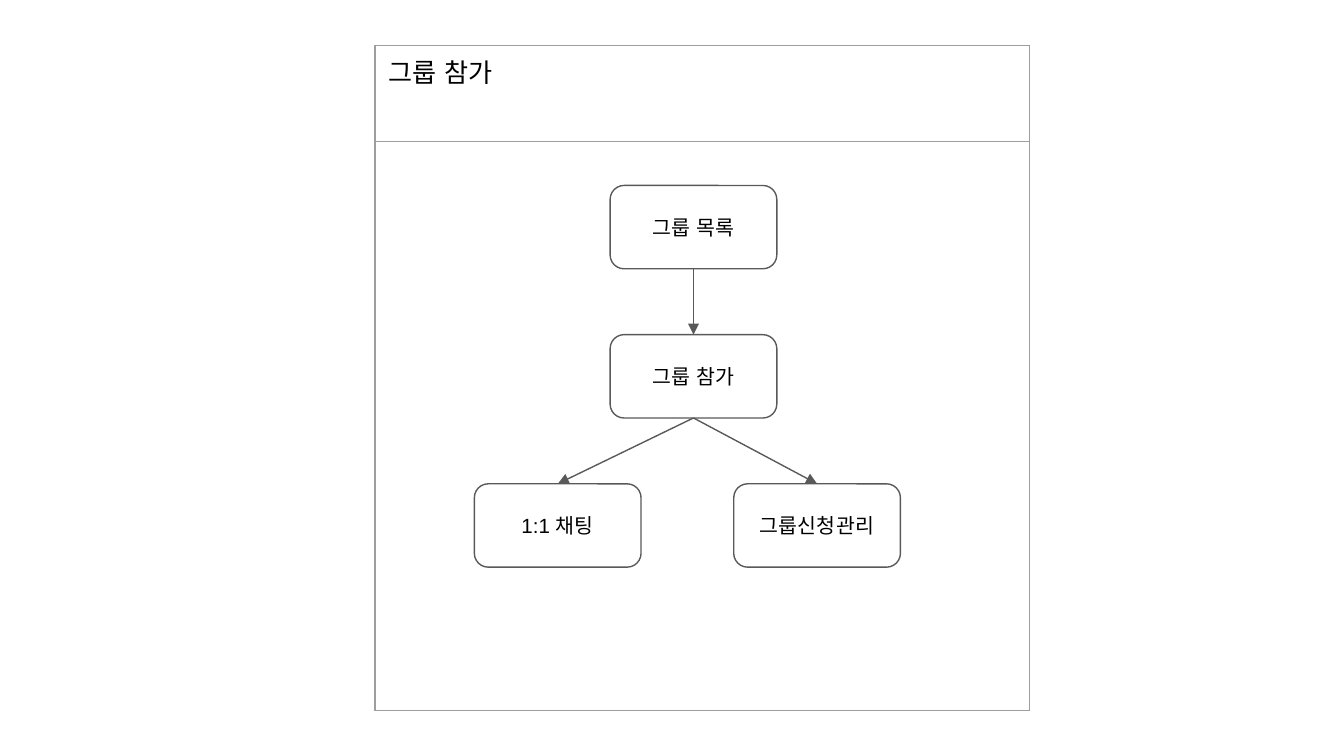
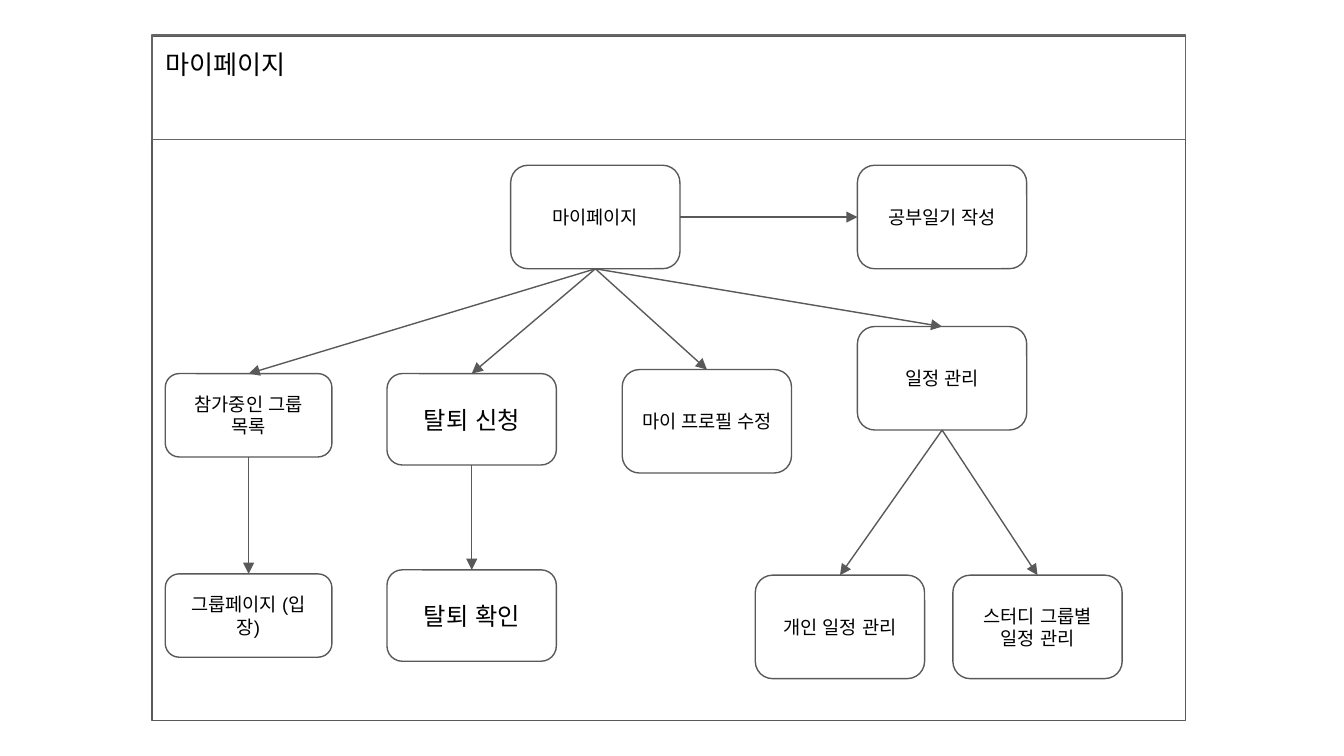
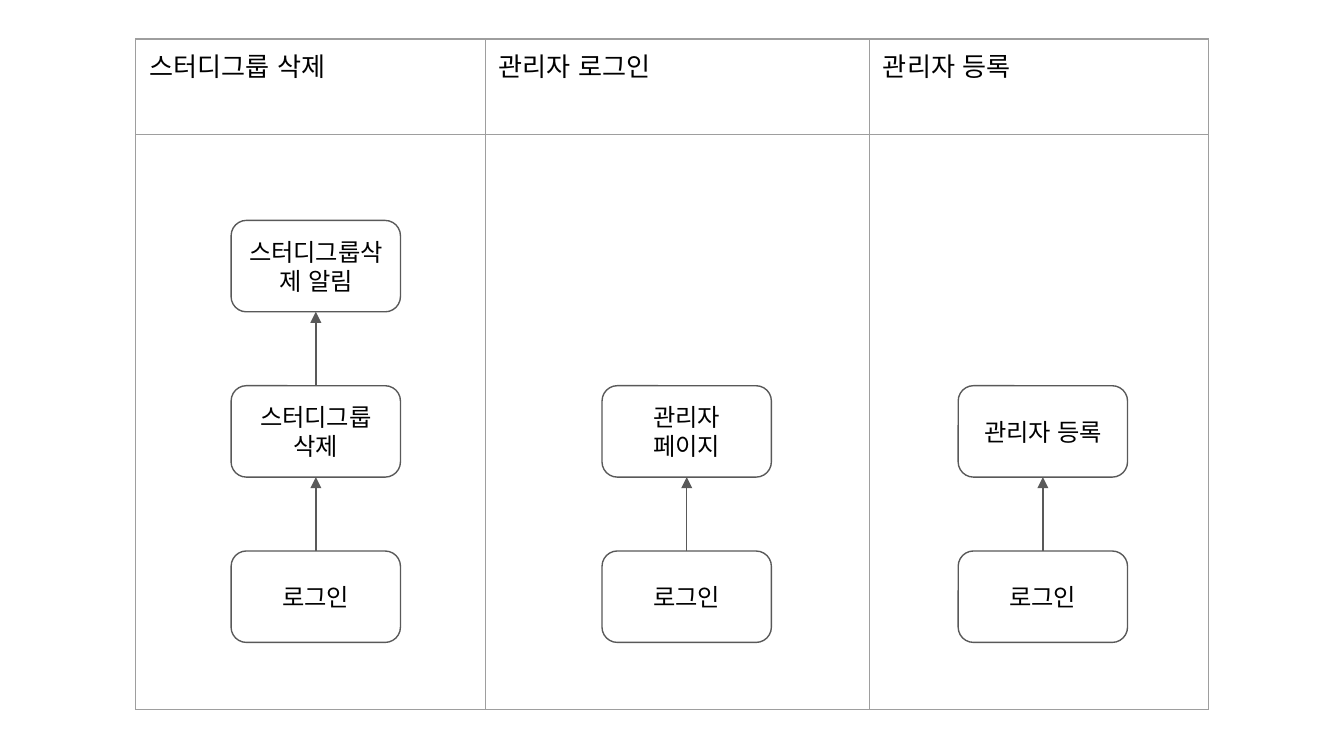
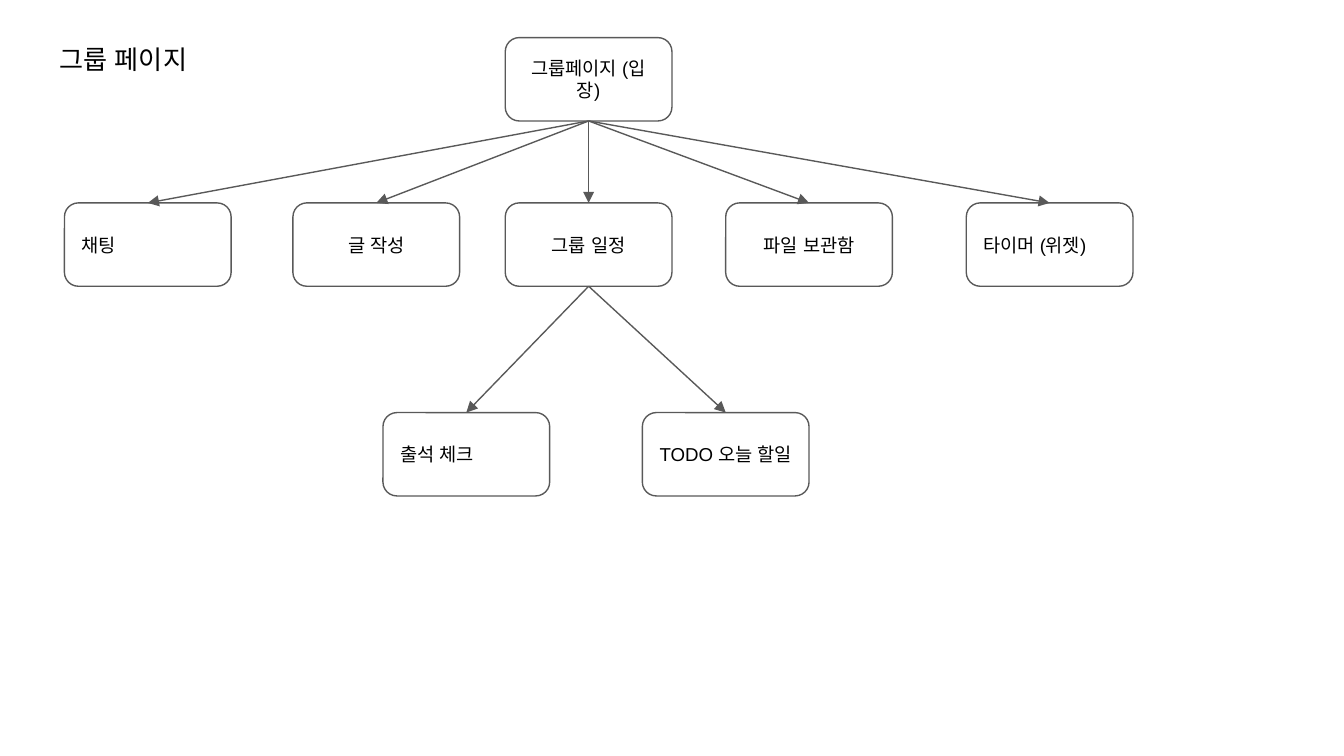
"""Build four screen-flow slides for a study group service."""
from dataclasses import dataclass

from lxml import etree
from pptx import Presentation
from pptx import presentation as pr
from pptx import slide as sl
from pptx import util as u
from pptx.dml import color as c
from pptx.enum import shapes, text
from pptx.oxml import ns
from pptx.shapes import autoshape as auto
from pptx.text import text as tx

PX = 9144
FONT = "Arial"
BLACK, WHITE = "000000", "FFFFFF"
STROKE, HEADER_STROKE, GRID = "595959", "666666", "9E9E9E"
LINE_WIDTH = u.Pt(0.75)
INSET = 10
TITLE_SIZE = 14
TITLE_ONLY, BLANK = 5, 6
TOP, LEFT, BOTTOM, RIGHT = range(4)
ALIGN_LEFT, ALIGN_CENTER = text.PP_ALIGN.LEFT, text.PP_ALIGN.CENTER


@dataclass(frozen=True)
class BoxStyle:
    width: int
    height: int
    size: int


@dataclass(frozen=True)
class Box:
    label: str
    left: int
    top: int
    style: BoxStyle
    align: text.PP_ALIGN = ALIGN_CENTER


@dataclass(frozen=True)
class Lane:
    title: str
    width: int
    box_left: int
    steps: tuple[str, ...]


JOIN = BoxStyle(124, 62, 11)
SMALL = BoxStyle(124, 62, 10)
MEDIUM = BoxStyle(126, 68, 13)
TALL = BoxStyle(126, 77, 10)


def px(length: int) -> u.Emu:
    return u.Emu(length * PX)


def rgb(value: str) -> c.RGBColor:
    return c.RGBColor.from_string(value)


def set_text(frame: tx.TextFrame, words: str, size: int,
             align: text.PP_ALIGN = ALIGN_LEFT,
             anchor: text.MSO_ANCHOR = text.MSO_ANCHOR.TOP) -> None:
    frame.text = words
    frame.word_wrap = True
    frame.vertical_anchor = anchor
    frame.margin_left = frame.margin_right = px(INSET)
    frame.margin_top = frame.margin_bottom = px(INSET)
    format_text(frame, size, align)


def format_text(frame: tx.TextFrame, size: int, align: text.PP_ALIGN) -> None:
    for para in frame.paragraphs:
        para.alignment = align
        for span in para.runs:
            span.font.name = FONT
            span.font.size = u.Pt(size)
            span.font.color.rgb = rgb(BLACK)
            etree.SubElement(span.font._element, ns.qn("a:ea"), typeface=FONT)


def add_outline(page: sl.Slide, kind: shapes.MSO_SHAPE, left: int, top: int,
                width: int, height: int, stroke: str) -> auto.Shape:
    shape = page.shapes.add_shape(kind, px(left), px(top), px(width), px(height))
    shape.shadow.inherit = False
    shape.fill.background()
    shape.line.color.rgb = rgb(stroke)
    shape.line.width = LINE_WIDTH
    return shape


def add_box(page: sl.Slide, box: Box) -> auto.Shape:
    style = box.style
    shape = add_outline(page, shapes.MSO_SHAPE.ROUNDED_RECTANGLE, box.left, box.top,
                        style.width, style.height, STROKE)
    shape.fill.solid()
    shape.fill.fore_color.rgb = rgb(WHITE)
    set_text(shape.text_frame, box.label, style.size, box.align, text.MSO_ANCHOR.MIDDLE)
    return shape


def add_arrow(page: sl.Slide, start: auto.Shape, end: auto.Shape,
              start_side: int = BOTTOM, end_side: int = TOP) -> None:
    arrow = page.shapes.add_connector(shapes.MSO_CONNECTOR.STRAIGHT, 0, 0, 0, 0)
    arrow.begin_connect(start, start_side)
    arrow.end_connect(end, end_side)
    arrow.line.color.rgb = rgb(STROKE)
    arrow.line.width = LINE_WIDTH
    properties = arrow._element.spPr
    etree.SubElement(properties.find(ns.qn("a:ln")), ns.qn("a:tailEnd"), type="triangle")
    etree.SubElement(properties, ns.qn("a:effectLst"))


def add_branches(page: sl.Slide, parent: auto.Shape, boxes: list[Box]) -> list[auto.Shape]:
    children = [add_box(page, box) for box in boxes]
    for child in children:
        add_arrow(page, parent, child)
    return children


def add_lanes(page: sl.Slide, left: int, top: int, titles: list[str],
              widths: list[int], heights: list[int]) -> None:
    frame = page.shapes.add_table(len(heights), len(widths), px(left), px(top),
                                  px(sum(widths)), px(sum(heights)))
    table = frame.table
    table.first_row = table.horz_banding = False
    for row, height in zip(table.rows, heights):
        row.height = px(height)
    for index, (title, width) in enumerate(zip(titles, widths)):
        table.columns[index].width = px(width)
        header = table.cell(0, index)
        header.text = title
        header.margin_left = header.margin_right = px(INSET)
        header.margin_top = header.margin_bottom = px(INSET)
        format_text(header.text_frame, TITLE_SIZE, ALIGN_LEFT)
        header.text_frame.paragraphs[0].space_before = u.Pt(4)
        table.cell(1, index).merge(table.cell(len(heights) - 1, index))
    for cell in table.iter_cells():
        properties = cell._tc.get_or_add_tcPr()
        for edge in ("a:lnL", "a:lnR", "a:lnT", "a:lnB"):
            line = etree.SubElement(properties, ns.qn(edge), w=str(LINE_WIDTH))
            fill = etree.SubElement(line, ns.qn("a:solidFill"))
            etree.SubElement(fill, ns.qn("a:srgbClr"), val=GRID)
        cell.fill.background()


def add_page(deck: pr.Presentation, layout: int = BLANK) -> sl.Slide:
    return deck.slides.add_slide(deck.slide_layouts[layout])


def build_group_join(deck: pr.Presentation) -> None:
    page = add_page(deck)
    add_lanes(page, 279, 34, ["그룹 참가"], [487], [71, 212, 212])
    group_list = add_box(page, Box("그룹 목록", 454, 138, JOIN))
    [group_join] = add_branches(page, group_list, [Box("그룹 참가", 454, 249, JOIN)])
    add_branches(page, group_join, [
        Box("1:1 채팅", 353, 360, JOIN),
        Box("그룹신청관리", 546, 360, JOIN),
    ])


def build_my_page(deck: pr.Presentation) -> None:
    page = add_page(deck)
    add_outline(page, shapes.MSO_SHAPE.RECTANGLE, 113, 27, 769, 509, STROKE)
    header = add_outline(page, shapes.MSO_SHAPE.RECTANGLE, 113, 26, 769, 78, HEADER_STROKE)
    set_text(header.text_frame, "마이페이지", TITLE_SIZE)
    my_page = add_box(page, Box("마이페이지", 380, 123, TALL))
    diary = add_box(page, Box("공부일기 작성", 638, 123, TALL))
    add_arrow(page, my_page, diary, RIGHT, LEFT)
    joined, leave, _, schedule = add_branches(page, my_page, [
        Box("참가중인 그룹 목록", 123, 278, SMALL),
        Box("탈퇴 신청", 288, 278, MEDIUM),
        Box("마이 프로필 수정", 463, 275, TALL),
        Box("일정 관리", 638, 243, TALL),
    ])
    add_branches(page, joined, [Box("그룹페이지 (입장)", 123, 427, SMALL)])
    add_branches(page, leave, [Box("탈퇴 확인", 288, 424, MEDIUM)])
    add_branches(page, schedule, [
        Box("개인 일정 관리", 562, 428, TALL),
        Box("스터디 그룹별 일정 관리", 709, 428, TALL),
    ])


def build_admin(deck: pr.Presentation) -> None:
    page = add_page(deck)
    lanes = [
        Lane("스터디그룹 삭제", 260, 172, ("로그인", "스터디그룹 삭제", "스터디그룹삭제 알림")),
        Lane("관리자 로그인", 286, 448, ("로그인", "관리자 페이지")),
        Lane("관리자 등록", 252, 713, ("로그인", "관리자 등록")),
    ]
    add_lanes(page, 101, 29, [lane.title for lane in lanes],
              [lane.width for lane in lanes], [71, 214, 214])
    first_top, step_rise = 410, 123
    for lane in lanes:
        steps = [add_box(page, Box(label, lane.box_left, first_top - step_rise * level, MEDIUM))
                 for level, label in enumerate(lane.steps)]
        for lower, upper in zip(steps, steps[1:]):
            add_arrow(page, lower, upper, TOP, BOTTOM)


def build_group_page(deck: pr.Presentation) -> None:
    page = add_page(deck, TITLE_ONLY)
    title = page.shapes.title
    title.left, title.top, title.width, title.height = map(px, (34, 22, 171, 44))
    set_text(title.text_frame, "그룹 페이지", TITLE_SIZE)
    title.text_frame.auto_size = text.MSO_AUTO_SIZE.SHAPE_TO_FIT_TEXT
    entrance = add_box(page, Box("그룹페이지 (입장)", 376, 28, SMALL))
    menu_top, task_top = 151, 307
    menu = add_branches(page, entrance, [
        Box("채팅", 48, menu_top, SMALL, ALIGN_LEFT),
        Box("글 작성", 218, menu_top, SMALL),
        Box("그룹 일정", 376, menu_top, SMALL),
        Box("파일 보관함", 540, menu_top, SMALL),
        Box("타이머 (위젯)", 719, menu_top, SMALL, ALIGN_LEFT),
    ])
    add_branches(page, menu[2], [
        Box("출석 체크", 285, task_top, SMALL, ALIGN_LEFT),
        Box("TODO 오늘 할일", 478, task_top, SMALL, ALIGN_LEFT),
    ])


def main() -> None:
    deck = Presentation()
    deck.slide_width = px(1000)
    deck.slide_height = u.Emu(deck.slide_width * 9 // 16)
    for build in (build_group_join, build_my_page, build_admin, build_group_page):
        build(deck)
    deck.save("out.pptx")


if __name__ == "__main__":
    main()
